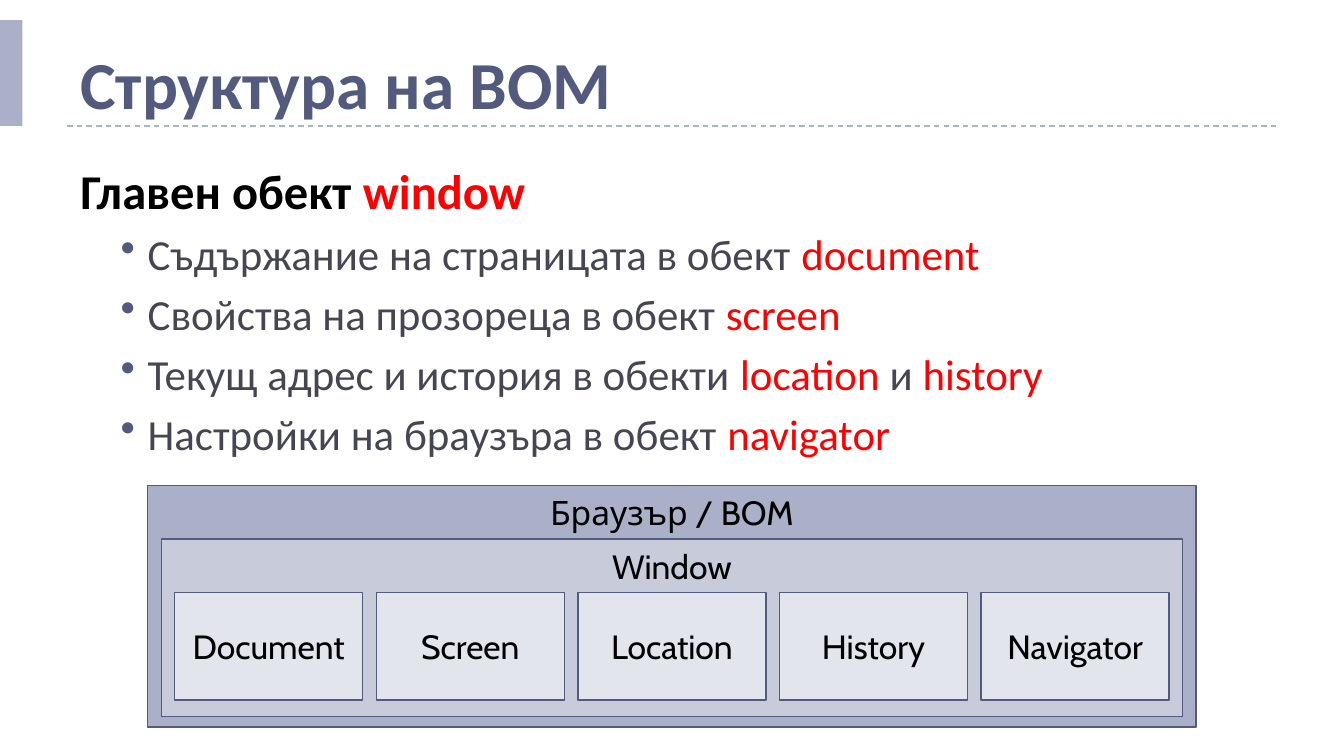
from pptx import Presentation
from pptx.dml.color import RGBColor
from pptx.enum.dml import MSO_LINE
from pptx.enum.shapes import MSO_CONNECTOR, MSO_SHAPE
from pptx.enum.text import MSO_ANCHOR, PP_ALIGN
from pptx.oxml.ns import qn
from pptx.util import Pt
from lxml import etree

RECTANGLE = MSO_SHAPE.RECTANGLE
STRAIGHT = MSO_CONNECTOR.STRAIGHT
DASH = MSO_LINE.DASH
TOP, MIDDLE, BOTTOM = MSO_ANCHOR.TOP, MSO_ANCHOR.MIDDLE, MSO_ANCHOR.BOTTOM
CENTER = PP_ALIGN.CENTER

COLORS = {
    "accent": "525B7E", "browser": "AAB0C8", "window": "C7CBDA",
    "object": "E3E5ED", "rule": "9FB8CD", "black": "000000",
    "body": "464653", "keyword": "FF0000",
}

# Content: spans are (text, color)
TITLE = [("Структура на BOM", "accent")]
HEADING = [("Главен обект ", "black"), ("window", "keyword")]
BULLETS = [
    [("Съдържание на страницата в обект ", "body"), ("document", "keyword")],
    [("Свойства на прозореца в обект ", "body"), ("screen", "keyword")],
    [("Текущ адрес и история в обекти ", "body"), ("location", "keyword"),
     (" и ", "body"), ("history", "keyword")],
    [("Настройки на браузъра в обект ", "body"), ("navigator", "keyword")],
]
CONTAINERS = [  # label, color, left, top, width, height
    ("Браузър / BOM", "browser", 79.2, 260, 561.6, 129.6),
    ("Window", "window", 86.4, 288.8, 547.2, 95),
]
OBJECTS = ["Document", "Screen", "Location", "History", "Navigator"]

# Text formats
TITLE_FONT = {"name": "Calibri", "size": Pt(36), "bold": True}
HEADING_FONT = {"name": "Calibri", "size": Pt(26), "bold": True}
BULLET_FONT = {"name": "Calibri", "size": Pt(23), "bold": False}
LABEL_FONT = {"name": "Cabin", "size": Pt(18), "bold": False}

# Grid of object boxes
OBJECT_LEFT, OBJECT_TOP = 93.6, 317.5
OBJECT_WIDTH, OBJECT_HEIGHT, OBJECT_GAP = 100.8, 57.6, 7.2


def rgb(color):
    return RGBColor.from_string(COLORS[color])


def add_spans(para, spans, font):
    for text, color in spans:
        span = para.add_run()
        span.text = text
        for key, value in font.items():
            setattr(span.font, key, value)
        span.font.color.rgb = rgb(color)


def add_bullet(para):
    properties = para._p.get_or_add_pPr()
    properties.set("lvl", "1")
    properties.set("marL", str(Pt(36)))
    properties.set("indent", str(-Pt(14.4)))
    bullet_color = etree.SubElement(properties, qn("a:buClr"))
    etree.SubElement(bullet_color, qn("a:srgbClr"), val=COLORS["accent"])
    etree.SubElement(properties, qn("a:buChar"), char="•")


def add_text_box(slide, left, top, width, height, anchor):
    box = slide.shapes.add_textbox(Pt(left), Pt(top), Pt(width), Pt(height))
    box.text_frame.word_wrap = True
    box.text_frame.vertical_anchor = anchor
    return box.text_frame


def add_box(slide, color, left, top, width, height, label=None, anchor=TOP):
    box = slide.shapes.add_shape(RECTANGLE, Pt(left), Pt(top), Pt(width), Pt(height))
    box.shadow.inherit = False
    box.fill.solid()
    box.fill.fore_color.rgb = rgb(color)
    if label is None:
        box.line.fill.background()
        return
    box.line.color.rgb = rgb("accent")
    box.line.width = Pt(0.75)
    box.text_frame.word_wrap = True
    box.text_frame.vertical_anchor = anchor
    para = box.text_frame.paragraphs[0]
    para.alignment = CENTER
    add_spans(para, [(label, "black")], LABEL_FONT)


def main():
    deck = Presentation()
    deck.slide_width, deck.slide_height = Pt(720), Pt(405)
    slide = deck.slides.add_slide(deck.slide_layouts[6])

    # Title rule and side bar
    rule = slide.shapes.add_connector(STRAIGHT, Pt(36), Pt(67.5), Pt(684), Pt(67.5))
    rule.line.color.rgb = rgb("rule")
    rule.line.width = Pt(0.75)
    rule.line.dash_style = DASH
    etree.SubElement(rule._element.spPr, qn("a:effectLst"))
    add_box(slide, "browser", 0, 10.8, 12, 56.7)

    # Title
    frame = add_text_box(slide, 36, 8.6, 672, 58.4, BOTTOM)
    frame.margin_bottom = Pt(1)
    add_spans(frame.paragraphs[0], TITLE, TITLE_FONT)

    # Body
    frame = add_text_box(slide, 36, 82.8, 672, 318, TOP)
    add_spans(frame.paragraphs[0], HEADING, HEADING_FONT)
    for spans in BULLETS:
        para = frame.add_paragraph()
        add_bullet(para)
        para.space_before = Pt(4.6)
        add_spans(para, spans, BULLET_FONT)

    # Nested diagram
    for label, color, left, top, width, height in CONTAINERS:
        add_box(slide, color, left, top, width, height, label)
    for index, label in enumerate(OBJECTS):
        left = OBJECT_LEFT + index * (OBJECT_WIDTH + OBJECT_GAP)
        add_box(slide, "object", left, OBJECT_TOP, OBJECT_WIDTH, OBJECT_HEIGHT,
                label, MIDDLE)

    deck.save("out.pptx")


if __name__ == "__main__":
    main()
